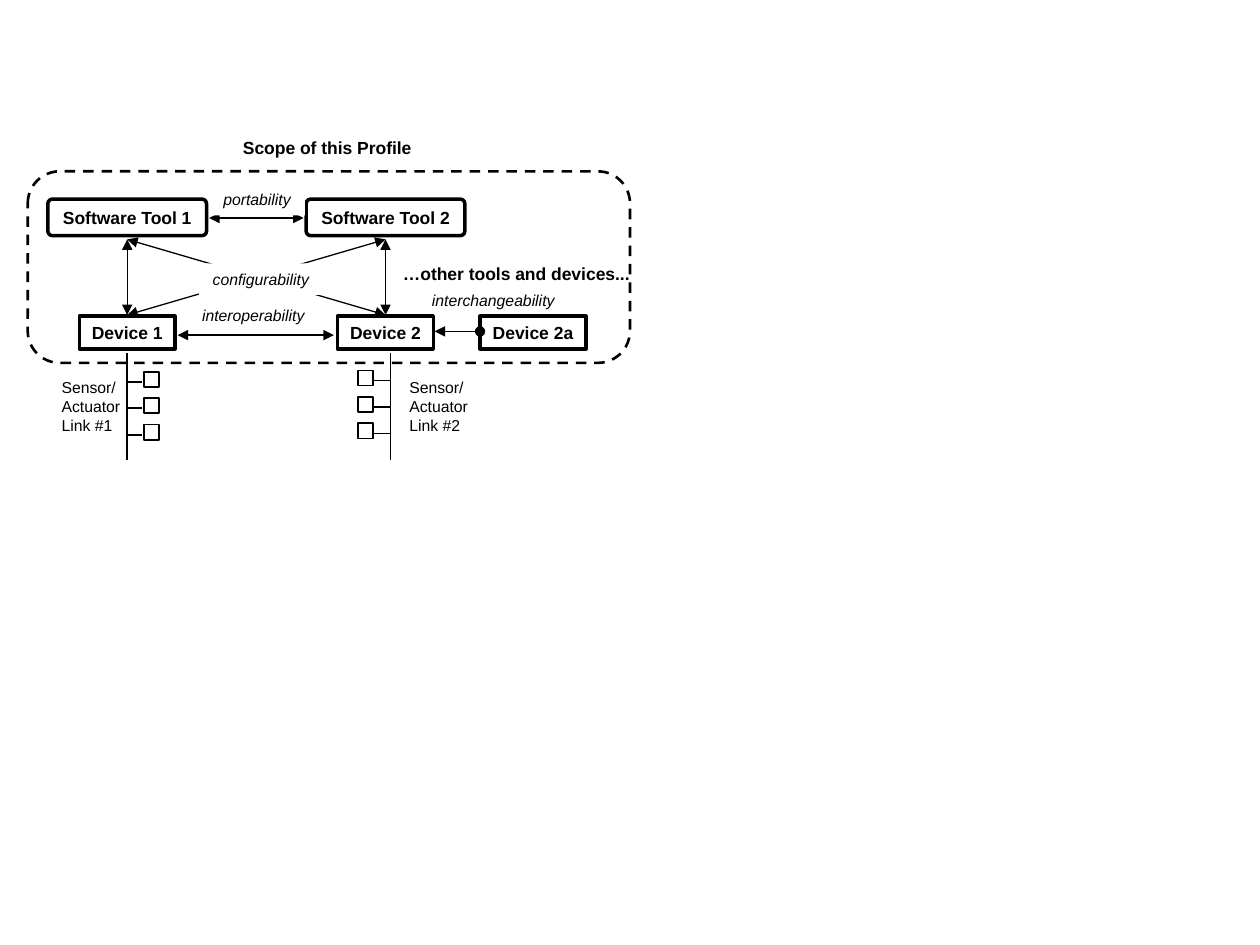
from lxml.etree import SubElement
from pptx import Presentation
from pptx.dml.color import RGBColor
from pptx.enum.dml import MSO_LINE
from pptx.enum.shapes import MSO_CONNECTOR, MSO_SHAPE
from pptx.enum.text import MSO_ANCHOR, MSO_AUTO_SIZE, PP_ALIGN
from pptx.oxml.ns import qn
from pptx.util import Inches, Pt

COLORS = {"ink": "000000", "paper": "FFFFFF"}
FONT = "Arial"
COLUMNS = (1.01, 3.06)  # centre of each tool and device pair


def color(name):
    return RGBColor.from_string(COLORS[name])


def write(sp, text, size=9, bold=False, italic=False, align=PP_ALIGN.CENTER,
          anchor=MSO_ANCHOR.TOP):
    tf = sp.text_frame
    tf.word_wrap = False
    tf.auto_size = MSO_AUTO_SIZE.SHAPE_TO_FIT_TEXT
    tf.vertical_anchor = anchor
    p = tf.paragraphs[0]
    p.alignment = align
    for i, line in enumerate(text.split("\n")):
        if i:
            p.add_line_break()
        r = p.add_run()
        r.text = line
        r.font.name, r.font.size = FONT, Pt(size)
        r.font.bold, r.font.italic = bold, italic
        r.font.color.rgb = color("ink")


def add_box(s, x, y, w, h, kind=MSO_SHAPE.RECTANGLE, fill="paper", line=1, adj=None):
    sp = s.shapes.add_shape(kind, Inches(x), Inches(y), Inches(w), Inches(h))
    sp.shadow.inherit = False
    if adj is not None:
        sp.adjustments[0] = adj
    if fill:
        sp.fill.solid()
        sp.fill.fore_color.rgb = color(fill)
    else:
        sp.fill.background()
    if line:
        sp.line.color.rgb = color("ink")
        sp.line.width = Pt(line)
    else:
        sp.line.fill.background()
    return sp


def add_node(s, text, x, y, w, h, **box):
    sp = add_box(s, x, y, w, h, line=2, **box)
    write(sp, text, size=10, bold=True, anchor=MSO_ANCHOR.MIDDLE)


def add_label(s, text, x, y, w, h, **style):
    sp = s.shapes.add_textbox(Inches(x), Inches(y), Inches(w), Inches(h))
    write(sp, text, **style)


def add_relation(s, text, x, y, w):
    """Italic label on a white ground that hides the arrows behind it."""
    sp = add_box(s, x, y, w, 0.25, line=None)
    write(sp, text, italic=True)


def add_line(s, x1, y1, x2, y2, width=1.0, head=None, tail=None):
    ln = s.shapes.add_connector(MSO_CONNECTOR.STRAIGHT, Inches(x1), Inches(y1),
                                Inches(x2), Inches(y2))
    ln.line.color.rgb = color("ink")
    ln.line.width = Pt(width)
    props = ln.line._get_or_add_ln()
    for tag, end in (("a:headEnd", head), ("a:tailEnd", tail)):
        if end:
            SubElement(props, qn(tag), type=end)
    SubElement(ln._element.spPr, qn("a:effectLst"))


def add_arrow(s, x1, y1, x2, y2, head="triangle"):
    add_line(s, x1, y1, x2, y2, width=0.75, head=head, tail="triangle")


def add_sensors(s, bus_x, box_x, stub_end, top):
    """Vertical link with three sensors branching off it."""
    add_line(s, bus_x, 2.8, bus_x, 3.65)
    for i in range(3):
        y = top + i * 0.21
        add_line(s, bus_x, y + 0.08, stub_end, y + 0.08)
        add_box(s, box_x, y, 0.12, 0.12)


def main():
    prs = Presentation()
    prs.slide_width, prs.slide_height = Inches(10), Inches(7.5)
    s = prs.slides.add_slide(prs.slide_layouts[6])

    # Tools and devices
    for i, x in enumerate(COLUMNS, 1):
        add_node(s, f"Software Tool {i}", x - 0.63, 1.58, 1.26, 0.29,
                 kind=MSO_SHAPE.ROUNDED_RECTANGLE, adj=0.125)
        add_node(s, f"Device {i}", x - 0.38, 2.51, 0.76, 0.26)
    add_label(s, "interoperability", 1.5, 2.38, 1.02, 0.25, italic=True)

    # Sensor and actuator links
    for i, x in enumerate((0.39, 3.15), 1):
        add_label(s, f"Sensor/\nActuator\nLink #{i}", x, 2.95, 0.68, 0.55,
                  align=PP_ALIGN.LEFT)
    add_sensors(s, 1.01, 1.14, 1.13, 2.95)
    add_sensors(s, 3.1, 2.84, 2.96, 2.94)

    # Arrows from every device to every tool, and between neighbours
    for device_x in COLUMNS:
        for tool_x in COLUMNS:
            add_arrow(s, device_x, 2.5, tool_x, 1.9)
    add_arrow(s, 1.66, 1.73, 2.41, 1.73)
    add_relation(s, "configurability", 1.58, 2.09, 0.98)
    add_relation(s, "portability", 1.66, 1.46, 0.76)
    add_arrow(s, 1.41, 2.66, 2.65, 2.66)

    # Interchangeable device
    add_label(s, "…other tools and devices...", 3.1, 2.04, 2, 0.27,
              size=10, bold=True, align=PP_ALIGN.LEFT)
    add_node(s, "Device 2a", 3.81, 2.51, 0.84, 0.26)
    add_label(s, "interchangeability", 3.33, 2.26, 1.17, 0.25, italic=True)
    add_arrow(s, 3.81, 2.63, 3.45, 2.63, head="oval")

    # Scope frame and its title
    frame = add_box(s, 0.22, 1.36, 4.78, 1.52, kind=MSO_SHAPE.ROUNDED_RECTANGLE,
                    fill=None, line=1.5, adj=0.167)
    frame.line.dash_style = MSO_LINE.DASH
    add_label(s, "Scope of this Profile", 1.83, 1.04, 1.54, 0.27,
              size=10, bold=True, align=PP_ALIGN.LEFT)

    prs.save("out.pptx")


if __name__ == "__main__":
    main()
